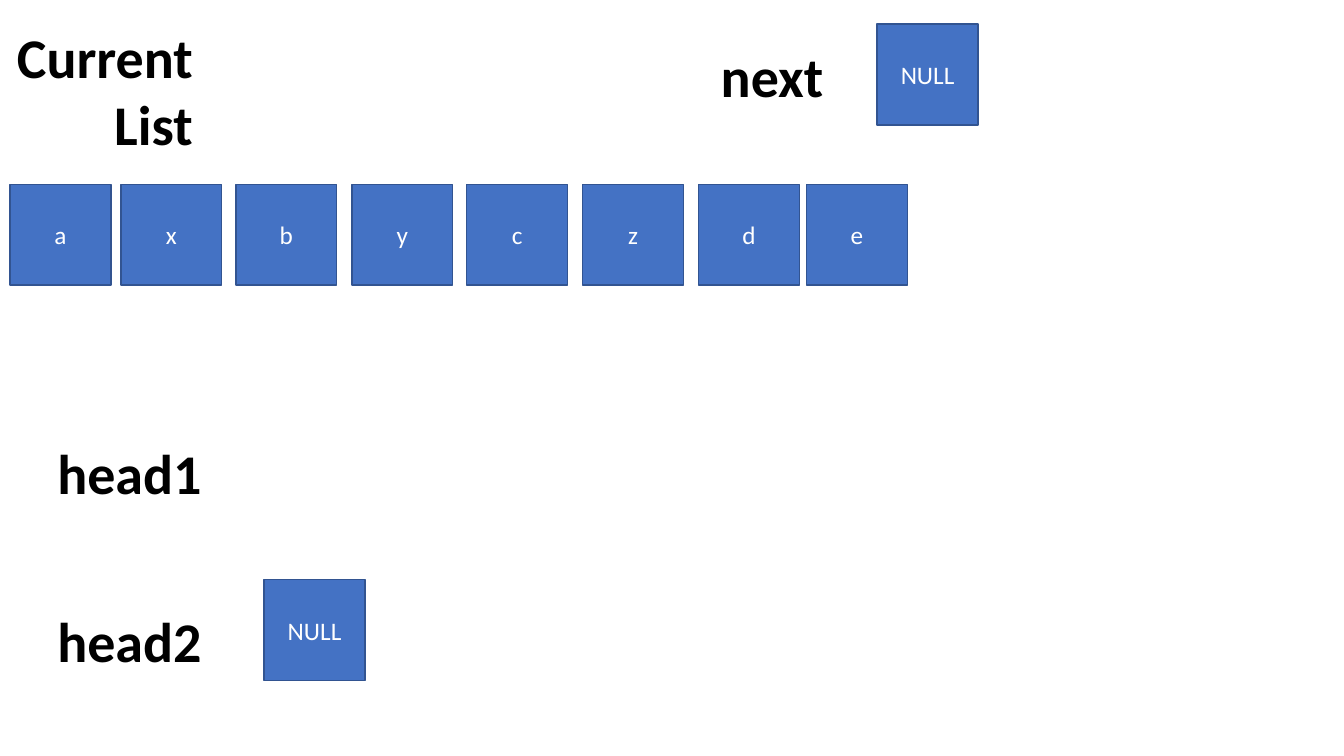
from pptx import Presentation
from pptx.dml.color import RGBColor
from pptx.enum.shapes import MSO_SHAPE
from pptx.enum.text import MSO_ANCHOR, MSO_AUTO_SIZE, PP_ALIGN
from pptx.util import Inches, Pt

BLACK = RGBColor(0x00, 0x00, 0x00)
WHITE = RGBColor(0xFF, 0xFF, 0xFF)
NODE_BLUE = RGBColor(0x44, 0x72, 0xC4)
NODE_EDGE = RGBColor(0x32, 0x54, 0x91)

FONT = "Calibri"
NODE_SIZE = 1
LIST_TOP = 1.83
LIST_NODES = [("a", 0.1), ("x", 1.2), ("b", 2.34), ("y", 3.49),
              ("c", 4.63), ("z", 5.78), ("d", 6.93), ("e", 8)]


def write(frame, text, size, color, align, bold=False):
    frame.word_wrap = True
    paragraph = frame.paragraphs[0]
    paragraph.alignment = align
    run = paragraph.add_run()
    run.text = text
    run.font.name = FONT
    run.font.size = Pt(size)
    run.font.bold = bold
    run.font.color.rgb = color


def add_label(slide, text, left, top, width, height=0.77, align=PP_ALIGN.LEFT):
    label = slide.shapes.add_textbox(
        Inches(left), Inches(top), Inches(width), Inches(height))
    label.text_frame.auto_size = MSO_AUTO_SIZE.SHAPE_TO_FIT_TEXT
    write(label.text_frame, text, 40, BLACK, align, bold=True)


def add_node(slide, value, left, top):
    node = slide.shapes.add_shape(
        MSO_SHAPE.RECTANGLE, Inches(left), Inches(top),
        Inches(NODE_SIZE), Inches(NODE_SIZE))
    node.shadow.inherit = False
    node.fill.solid()
    node.fill.fore_color.rgb = NODE_BLUE
    node.line.color.rgb = NODE_EDGE
    node.line.width = Pt(1)
    node.text_frame.vertical_anchor = MSO_ANCHOR.MIDDLE
    write(node.text_frame, value, 18, WHITE, PP_ALIGN.CENTER)


def main():
    deck = Presentation()
    deck.slide_width = Inches(13.33)
    deck.slide_height = Inches(7.5)
    slide = deck.slides.add_slide(deck.slide_layouts.get_by_name("Blank"))

    add_label(slide, "head1", 0.47, 4.3, 1.86)
    add_label(slide, "next", 7.05, 0.36, 1.45)
    add_label(slide, "head2", 0.47, 5.97, 1.86)
    add_label(slide, "Current List", 0, 0.17, 2.01, 1.45, PP_ALIGN.RIGHT)

    for value, left in LIST_NODES:
        add_node(slide, value, left, LIST_TOP)
    add_node(slide, "NULL", 8.7, 0.24)
    add_node(slide, "NULL", 2.62, 5.75)

    deck.save("out.pptx")


if __name__ == "__main__":
    main()
